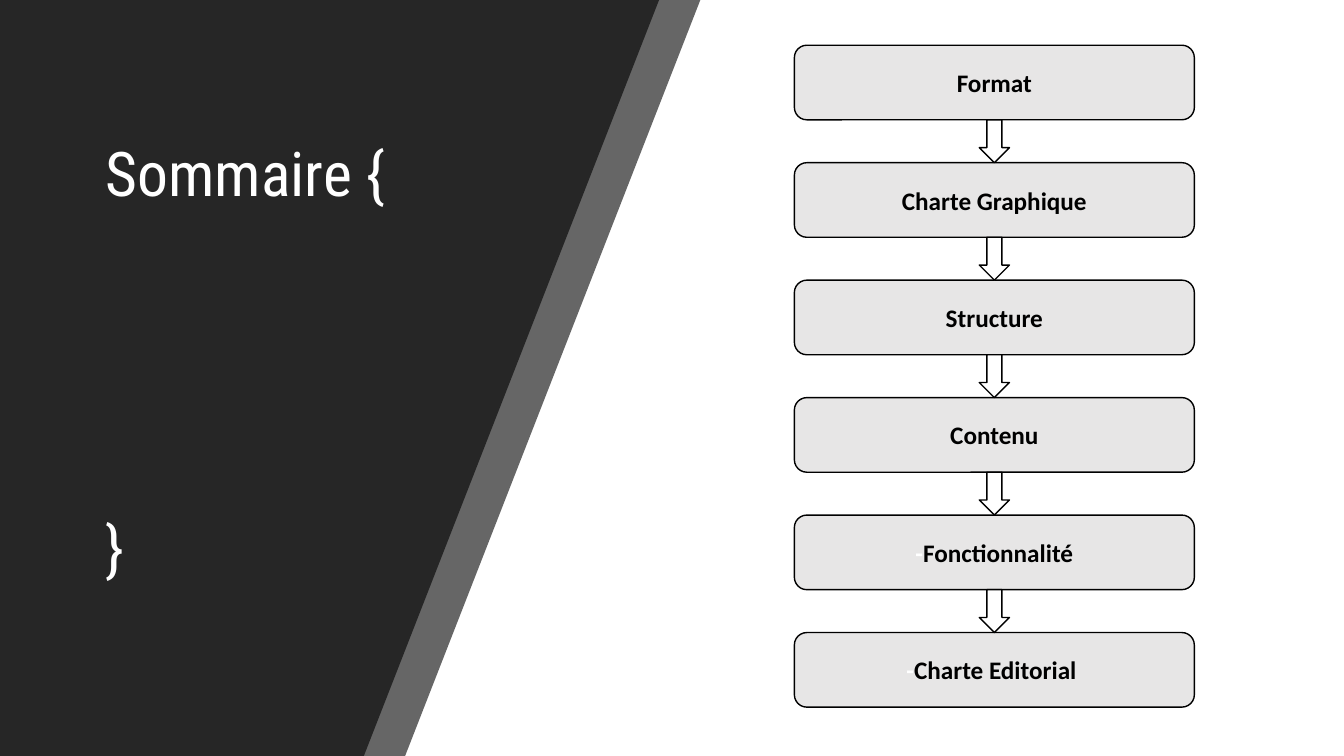
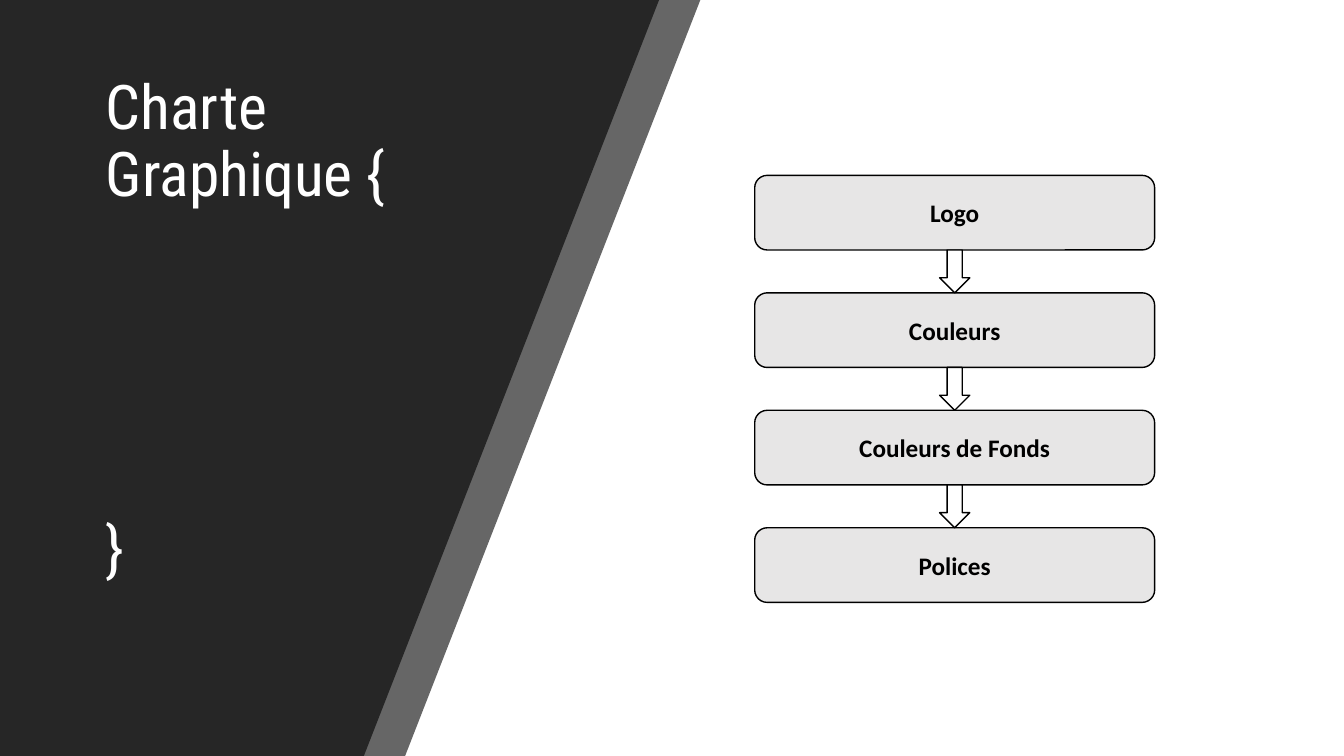
from lxml.etree import SubElement
from pptx import Presentation
from pptx.dml.color import RGBColor
from pptx.enum.shapes import MSO_SHAPE
from pptx.enum.text import MSO_ANCHOR, MSO_AUTO_SIZE, PP_ALIGN
from pptx.oxml.ns import qn
from pptx.util import Cm, Pt

COLORS = {"panel": "262626", "box": "E7E6E6", "white": "FFFFFF", "black": "000000"}
TITLE_FONT, BODY_FONT = "Roboto Condensed", "Calibri"
SLIDE_WIDTH, SLIDE_HEIGHT = Cm(33.87), Cm(19.05)
TITLE_BOX = (Cm(2.41), Cm(7.04), Cm(10.52), Cm(7.8))
# Top and bottom widths and opacity, from back to front
PANELS = [(Cm(17.65), Cm(10.21), 70), (Cm(16.61), Cm(9.17), 100)]
STEP_WIDTH, STEP_HEIGHT, STEP_PITCH = Cm(10.08), Cm(1.88), Cm(2.96)
ARROW_WIDTH = Cm(0.76)


def color(name):
    """Return the named colour."""
    return RGBColor.from_string(COLORS[name])


def style_shape(shape, fill, line=None, opacity=100):
    """Give a shape its fill and outline, without a shadow."""
    shape.shadow.inherit = False
    shape.fill.solid()
    shape.fill.fore_color.rgb = color(fill)
    if opacity < 100:
        fill_color = shape.element.spPr.find(qn("a:solidFill"))[0]
        SubElement(fill_color, qn("a:alpha"), val=str(opacity * 1000))
    if line:
        shape.line.color.rgb = color(line)
        shape.line.width = Pt(1)
    else:
        shape.line.fill.background()


def add_text(paragraph, text, *, font, size, text_color, bold=False):
    """Add a formatted run to a paragraph."""
    run = paragraph.add_run()
    run.text = text
    run.font.name = font
    run.font.size = Pt(size)
    run.font.bold = bold
    run.font.color.rgb = color(text_color)


def add_panels(slide):
    """Draw the two slanted panels on the left."""
    for top_width, bottom_width, opacity in PANELS:
        builder = slide.shapes.build_freeform(top_width, 0)
        builder.add_line_segments([(0, 0), (0, SLIDE_HEIGHT), (bottom_width, SLIDE_HEIGHT)])
        style_shape(builder.convert_to_shape(), "panel", opacity=opacity)


def add_title(slide, text, box):
    """Place the title and its closing brace in front of the panels."""
    title = slide.shapes.title
    title.left, title.top, title.width, title.height = box
    title.element.getparent().append(title.element)
    frame = title.text_frame
    frame.auto_size = MSO_AUTO_SIZE.NONE
    frame.word_wrap = True
    frame.vertical_anchor = MSO_ANCHOR.BOTTOM
    opening, closing = frame.paragraphs[0], frame.add_paragraph()
    for paragraph, line, space in [(opening, text + " {", 220), (closing, "}", 6)]:
        paragraph.alignment = PP_ALIGN.LEFT
        paragraph.line_spacing = 0.9
        paragraph.space_after = Pt(space)
        add_text(paragraph, line, font=TITLE_FONT, size=44, text_color="white")


def add_step(slide, label, left, top):
    """Draw one box; a leading hyphen in its label is white."""
    step = slide.shapes.add_shape(
        MSO_SHAPE.FLOWCHART_ALTERNATE_PROCESS, left, top, STEP_WIDTH, STEP_HEIGHT)
    style_shape(step, "box", line="black")
    step.text_frame.vertical_anchor = MSO_ANCHOR.MIDDLE
    paragraph = step.text_frame.paragraphs[0]
    paragraph.alignment = PP_ALIGN.CENTER
    name = label.removeprefix("-")
    if name != label:
        add_text(paragraph, "-", font=BODY_FONT, size=18, text_color="white", bold=True)
    add_text(paragraph, name, font=BODY_FONT, size=18, text_color="black", bold=True)


def add_flow(slide, labels, left, top):
    """Stack the boxes and fill each gap with a downward arrow."""
    for index, label in enumerate(labels):
        step_top = top + index * STEP_PITCH
        add_step(slide, label, left, step_top)
        if index:
            gap = STEP_PITCH - STEP_HEIGHT
            arrow_left = left + (STEP_WIDTH - ARROW_WIDTH) // 2
            arrow = slide.shapes.add_shape(
                MSO_SHAPE.DOWN_ARROW, arrow_left, step_top - gap, ARROW_WIDTH, gap)
            style_shape(arrow, "white", line="black")


def add_outline_slide(presentation, title, labels, left, top):
    """Add a slide with a title panel and a flow of boxes."""
    slide = presentation.slides.add_slide(presentation.slide_layouts[5])
    slide.background.fill.solid()
    slide.background.fill.fore_color.rgb = color("white")
    add_panels(slide)
    add_title(slide, title, TITLE_BOX)
    add_flow(slide, labels, left, top)


def main():
    """Build and save the presentation."""
    presentation = Presentation()
    presentation.slide_width, presentation.slide_height = SLIDE_WIDTH, SLIDE_HEIGHT
    add_outline_slide(
        presentation, "Sommaire",
        ["Format", "Charte Graphique", "Structure", "Contenu",
         "-Fonctionnalité", "-Charte Editorial "],
        Cm(20.02), Cm(1.14))
    add_outline_slide(
        presentation, "Charte Graphique",
        ["Logo", "Couleurs", "Couleurs de Fonds", "Polices"],
        Cm(19.02), Cm(4.42))
    presentation.save("out.pptx")


main()
